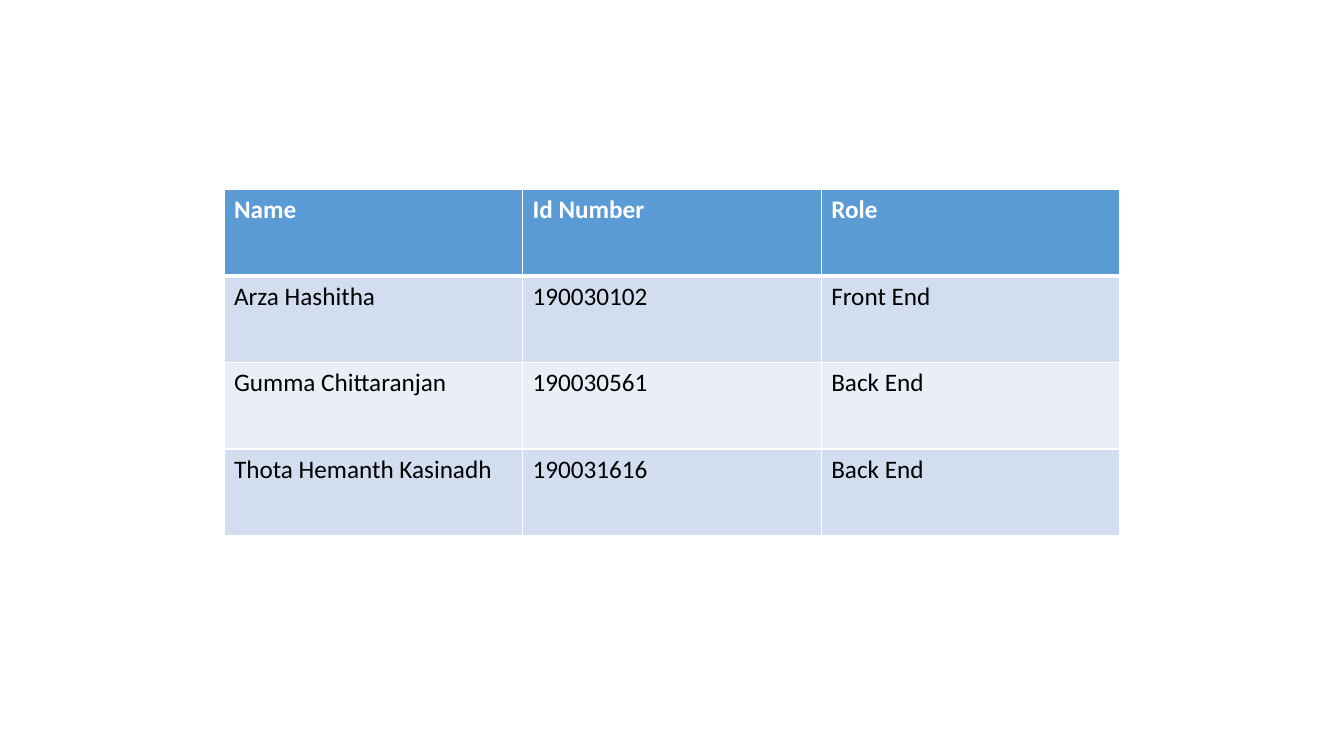
import pptx
import pptx.util
import pptx.dml.color
import pptx.oxml
import pptx.oxml.ns
from lxml import etree

Pt = pptx.util.Pt

# Content
ROWS = [
    ("Name", "Id Number", "Role"),
    ("Arza Hashitha", "190030102", "Front End"),
    ("Gumma Chittaranjan", "190030561", "Back End"),
    ("Thota Hemanth Kasinadh", "190031616", "Back End"),
]
HUES = {"head": "5B9BD5", "odd": "D2DEEF", "even": "EAEFF7",
        "line": "FFFFFF", "light": "FFFFFF", "dark": "000000"}
FONT, SIZE = "Calibri", 18
LEFT, TOP, WIDTH, HIGH = 160, 135.5, 640, 247
THIN, THICK = 1, 3


def color(name):
    return pptx.dml.color.RGBColor.from_string(HUES[name])


def border(cell, sides):
    """Put solid lines on the cell; they must stand before its fill."""
    props = cell._tc.get_or_add_tcPr()
    for spot, (side, width) in enumerate(sides.items()):
        line = etree.Element(pptx.oxml.ns.qn("a:ln" + side), w=str(Pt(width)))
        fill = etree.SubElement(line, pptx.oxml.ns.qn("a:solidFill"))
        etree.SubElement(fill, pptx.oxml.ns.qn("a:srgbClr"), val=HUES["line"])
        props.insert(spot, line)


def main():
    deck = pptx.Presentation()
    deck.slide_width, deck.slide_height = Pt(960), Pt(540)
    slide = deck.slides.add_slide(deck.slide_layouts[6])

    # Team table with equal rows and columns
    table = slide.shapes.add_table(len(ROWS), len(ROWS[0]), Pt(LEFT), Pt(TOP),
                                   Pt(WIDTH), Pt(HIGH)).table
    for row, texts in enumerate(ROWS):
        head = row == 0
        band = "head" if head else "odd" if row % 2 else "even"
        for col, text in enumerate(texts):
            cell = table.cell(row, col)
            cell.fill.solid()
            cell.fill.fore_color.rgb = color(band)
            # The rule under the header is shared by the first two rows
            border(cell, {"L": THIN, "R": THIN,
                          "T": THICK if row == 1 else THIN,
                          "B": THICK if head else THIN})
            run = cell.text_frame.paragraphs[0].add_run()
            run.text = text
            run.font.name, run.font.size = FONT, Pt(SIZE)
            run.font.bold = head
            run.font.color.rgb = color("light" if head else "dark")

    deck.save("out.pptx")


if __name__ == "__main__":
    main()
